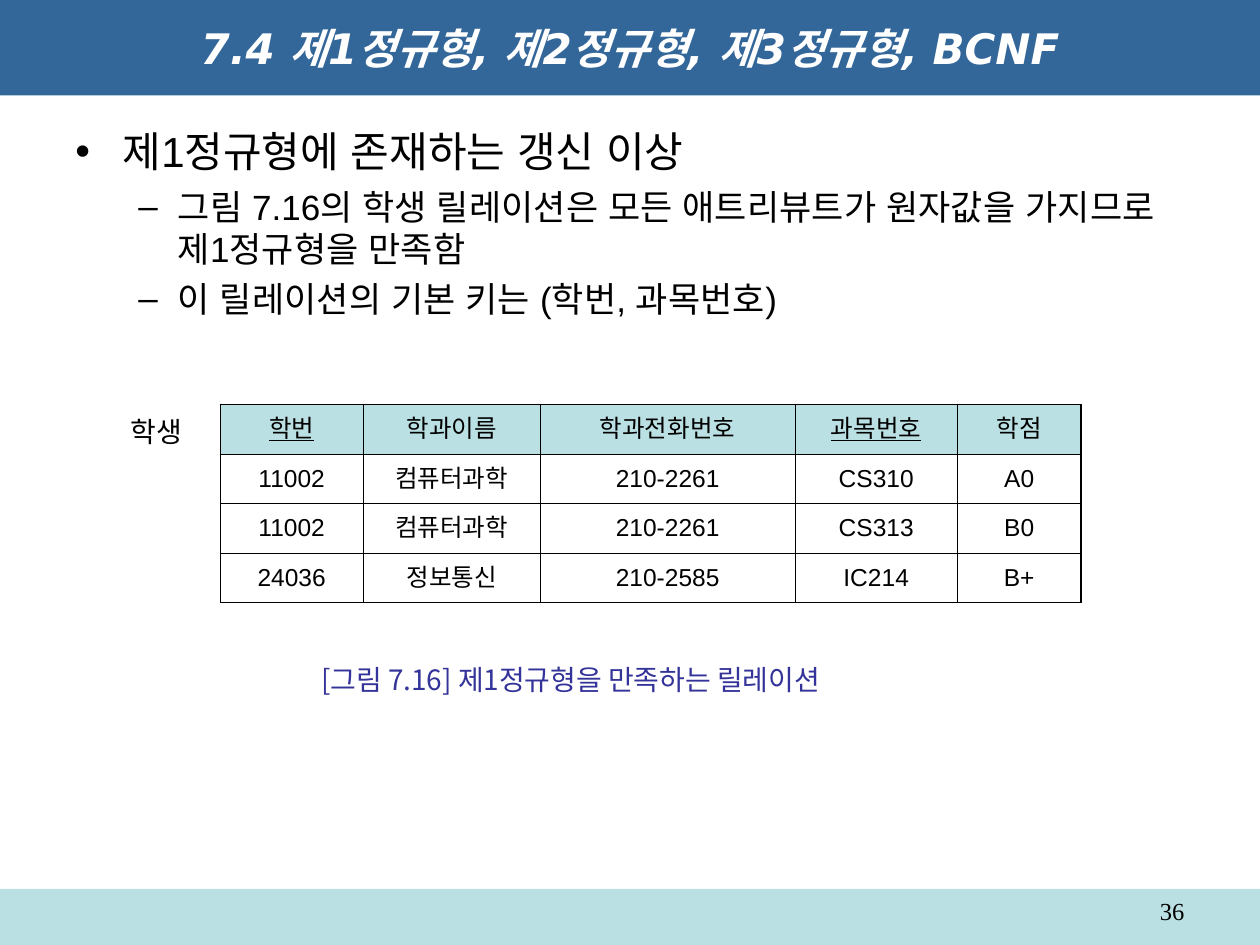
import pptx
import pptx.util
import pptx.dml.color
import pptx.enum.shapes
import pptx.enum.text
import pptx.oxml.ns
import lxml.etree

Pt = pptx.util.Pt
ALIGN = pptx.enum.text.PP_ALIGN
ANCHOR = pptx.enum.text.MSO_ANCHOR
AUTO_SIZE = pptx.enum.text.MSO_AUTO_SIZE
qn = pptx.oxml.ns.qn
PALE_TEAL = "BBE0E3"


def color(value):
    return pptx.dml.color.RGBColor.from_string(value)


def style(paragraph, size, font, text_color="000000", bold=False, italic=False):
    for run in paragraph.runs:
        run.font.size = Pt(size)
        run.font.name = font
        run.font.bold = bold
        run.font.italic = italic
        run.font.color.rgb = color(text_color)
        # Korean text uses the same face as the Latin text
        east_asian = lxml.etree.SubElement(run.font._element, qn("a:ea"))
        east_asian.set("typeface", font)


deck = pptx.Presentation()
deck.slide_width, deck.slide_height = Pt(720), Pt(540)
slide = deck.slides.add_slide(deck.slide_layouts[6])

# Footer and title bands
bands = []
for top, height, fill in [(508, 32, PALE_TEAL), (0, 54.6, "336699")]:
    band = slide.shapes.add_shape(
        pptx.enum.shapes.MSO_SHAPE.RECTANGLE, 0, Pt(top), Pt(720), Pt(height))
    band.shadow.inherit = False
    band.fill.solid()
    band.fill.fore_color.rgb = color(fill)
    band.line.fill.background()
    bands.append(band)
footer, title = bands

title.text_frame.text = "7.4 제1정규형, 제2정규형, 제3정규형, BCNF"
title.text_frame.vertical_anchor = ANCHOR.MIDDLE
heading = title.text_frame.paragraphs[0]
heading.alignment = ALIGN.CENTER
style(heading, 24, "DejaVu Sans", "FFFFFF", bold=True, italic=True)

# Bulleted explanation: level, text
points = [
    (0, "제1정규형에 존재하는 갱신 이상"),
    (1, "그림 7.16의 학생 릴레이션은 모든 애트리뷰트가 원자값을 가지므로 제1정규형을 만족함"),
    (1, "이 릴레이션의 기본 키는 (학번, 과목번호)"),
]
# Per level: bullet, left margin, hanging indent, size, space before
levels = [("•", 27, 27, 24, 0), ("–", 58.5, 22.5, 20, 5)]
body = slide.shapes.add_textbox(Pt(36), Pt(68.4), Pt(648), Pt(428.4)).text_frame
body.word_wrap = True
for number, (level, text) in enumerate(points):
    bullet, margin, hanging, size, space = levels[level]
    point = body.add_paragraph() if number else body.paragraphs[0]
    point.text = text
    point.level = level
    point.space_before = Pt(space)
    properties = point._p.get_or_add_pPr()
    properties.set("marL", str(Pt(margin)))
    properties.set("indent", str(-Pt(hanging)))
    bullet_color = lxml.etree.SubElement(properties, qn("a:buClr"))
    lxml.etree.SubElement(bullet_color, qn("a:srgbClr")).set("val", "000000")
    lxml.etree.SubElement(properties, qn("a:buFont")).set("typeface", "Arial")
    lxml.etree.SubElement(properties, qn("a:buChar")).set("char", bullet)
    style(point, size, "Arial")

# Student relation
records = [
    ["학번", "학과이름", "학과전화번호", "과목번호", "학점"],
    ["11002", "컴퓨터과학", "210-2261", "CS310", "A0"],
    ["11002", "컴퓨터과학", "210-2261", "CS313", "B0"],
    ["24036", "정보통신", "210-2585", "IC214", "B+"],
]
primary_key = ["학번", "과목번호"]
widths = [81.4, 101.5, 145.4, 92.9, 70.6]
last_row, last_column = len(records) - 1, len(widths) - 1
students = slide.shapes.add_table(
    len(records), len(widths), Pt(126), Pt(231.1), Pt(sum(widths)), Pt(113.2)).table
for column, width in zip(students.columns, widths):
    column.width = Pt(width)
for row in students.rows:
    row.height = Pt(28.3)

for r, record in enumerate(records):
    for c, value in enumerate(record):
        cell = students.cell(r, c)
        cell.text_frame.text = value
        cell.vertical_anchor = ANCHOR.MIDDLE
        entry = cell.text_frame.paragraphs[0]
        entry.alignment = ALIGN.CENTER
        style(entry, 14, "Arial")
        entry.runs[0].font.underline = value in primary_key
        if r == 0:
            cell.fill.solid()
            cell.fill.fore_color.rgb = color(PALE_TEAL)
        else:
            cell.fill.background()
        # Thick outer frame, thin inner rules
        outer_sides = [("a:lnL", c == 0), ("a:lnR", c == last_column),
                       ("a:lnT", r == 0), ("a:lnB", r == last_row)]
        cell_properties = cell._tc.get_or_add_tcPr()
        for position, (side, outer) in enumerate(outer_sides):
            border = lxml.etree.Element(qn(side))
            border.set("w", str(Pt(1.08 if outer else 0.45)))
            border_fill = lxml.etree.SubElement(border, qn("a:solidFill"))
            lxml.etree.SubElement(border_fill, qn("a:srgbClr")).set("val", "000000")
            cell_properties.insert(position, border)

# Page number, relation name and caption
labels = [
    ("36", (516.2, 508.3, 167.8, 20.9), 14, "Times New Roman", "000000",
     ALIGN.RIGHT, ANCHOR.TOP, True),
    ("학생", (67.7, 233.3, 45.4, 26.6), 16, "Noto Sans CJK JP", "000000",
     ALIGN.LEFT, ANCHOR.TOP, False),
    ("[그림 7.16] 제1정규형을 만족하는 릴레이션", (176.4, 375.1, 334.8, 26.6), 16,
     "Noto Sans CJK KR", "333399", ALIGN.LEFT, ANCHOR.MIDDLE, False),
]
for text, place, size, font, text_color, alignment, anchor, wrap in labels:
    label = slide.shapes.add_textbox(*map(Pt, place)).text_frame
    label.text = text
    label.word_wrap = wrap
    label.auto_size = AUTO_SIZE.NONE if wrap else AUTO_SIZE.SHAPE_TO_FIT_TEXT
    label.vertical_anchor = anchor
    label.paragraphs[0].alignment = alignment
    style(label.paragraphs[0], size, font, text_color)

deck.save("out.pptx")
